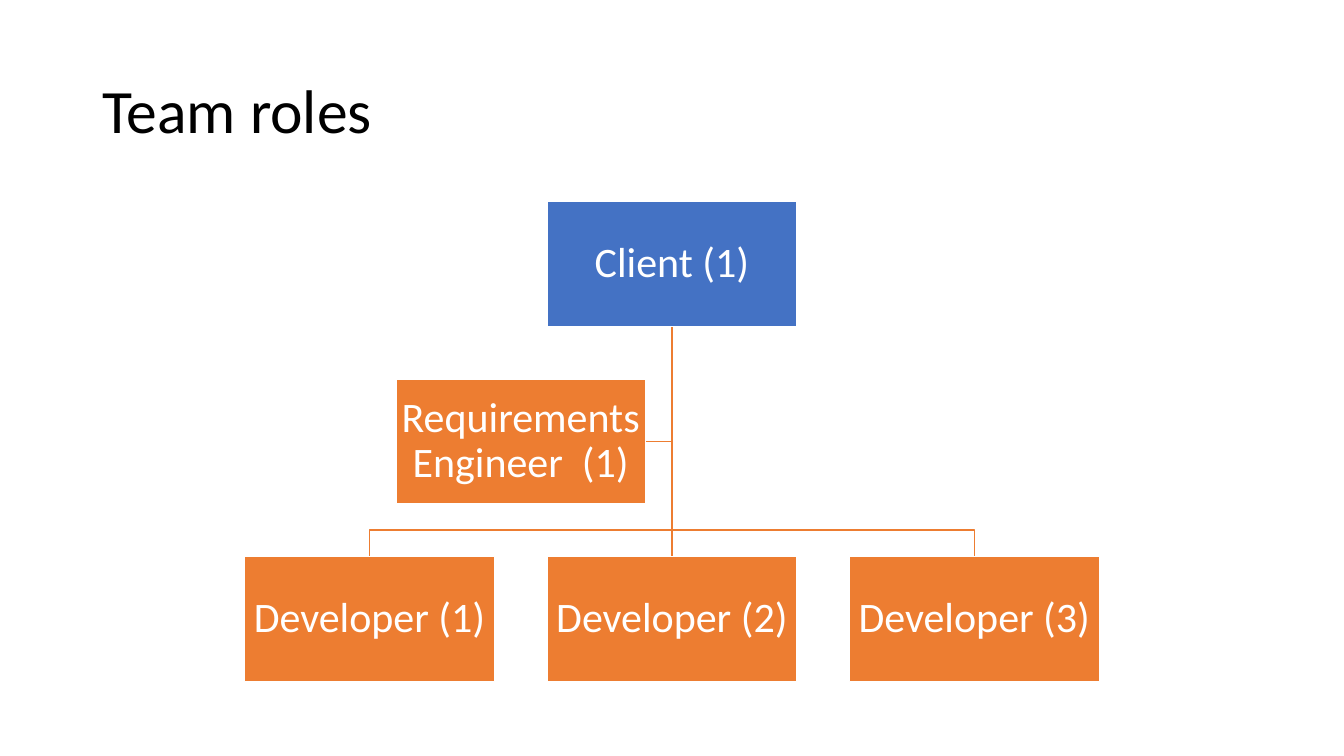
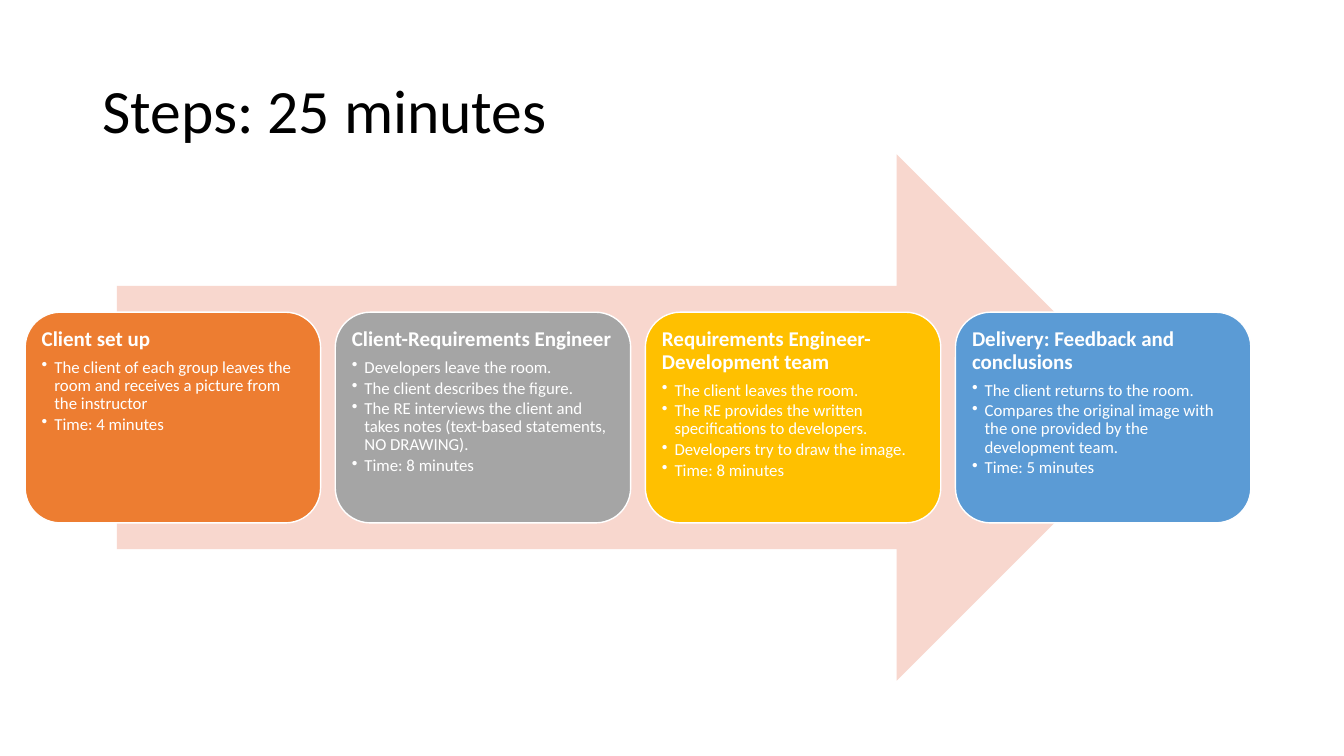
from lxml.etree import SubElement
from pptx import Presentation
from pptx.dml.color import RGBColor
from pptx.enum.shapes import MSO_CONNECTOR, MSO_SHAPE
from pptx.enum.text import MSO_ANCHOR, PP_ALIGN
from pptx.oxml.ns import qn
from pptx.util import Pt

COLORS = {
    "black": "000000", "white": "FFFFFF", "blue": "4472C4", "orange": "ED7D31",
    "gray": "A5A5A5", "gold": "FFC000", "sky": "5B9BD5", "blush": "F8D7CE",
}
rgb = {name: RGBColor.from_string(value) for name, value in COLORS.items()}


def write(tf, text, size=44, color="white", bold=False, align=PP_ALIGN.LEFT,
          anchor=MSO_ANCHOR.MIDDLE, inset=None, after=0, bullet=False, first=True):
    tf.word_wrap = True
    tf.vertical_anchor = anchor
    if inset is not None:
        tf.margin_left = tf.margin_right = tf.margin_top = tf.margin_bottom = Pt(inset)
    p = tf.paragraphs[0] if first else tf.add_paragraph()
    p.alignment = align
    p.line_spacing = 0.9
    p.space_before = Pt(0)
    p.space_after = Pt(after)
    if bullet:
        pPr = p._p.get_or_add_pPr()
        pPr.set("marL", str(Pt(9)))
        pPr.set("indent", str(-Pt(9)))
        SubElement(pPr, qn("a:buChar")).set("char", "•")
    r = p.add_run()
    r.text = text
    r.font.name = "Calibri"
    r.font.size = Pt(size)
    r.font.bold = bold
    r.font.color.rgb = rgb[color]


def add_box(s, kind, left, top, width, height, fill, outlined=True):
    sp = s.shapes.add_shape(kind, Pt(left), Pt(top), Pt(width), Pt(height))
    sp.shadow.inherit = False
    sp.fill.solid()
    sp.fill.fore_color.rgb = rgb[fill]
    if outlined:
        sp.line.color.rgb = rgb["white"]
        sp.line.width = Pt(1)
    else:
        sp.line.fill.background()
    return sp


prs = Presentation()
prs.slide_width, prs.slide_height = Pt(960), Pt(540)

slides = []
for title in ("Team roles", "Steps: 25 minutes"):
    s = prs.slides.add_slide(prs.slide_layouts[6])
    sp = s.shapes.add_textbox(Pt(66), Pt(28.75), Pt(828), Pt(104.4))
    write(sp.text_frame, title, color="black")
    slides.append(s)
roles, steps = slides

box_w, box_h = 178.5, 89.25
center, pitch = 480, 216
client_top, engineer_top, developer_top = 144, 270.75, 397.5
client_bottom = client_top + box_h
gap = 18.75
branch_y = developer_top - gap
engineer_center = center - box_w / 2 - gap
engineer_y = engineer_top + box_h / 2

elbows = [[(center, engineer_y), (center - gap, engineer_y)]]
for x in (center + pitch, center - pitch):
    elbows.append([(center, branch_y), (x, branch_y), (x, developer_top)])
for points in elbows:
    builder = roles.shapes.build_freeform(Pt(center), Pt(client_bottom))
    builder.add_line_segments([(Pt(x), Pt(y)) for x, y in points], close=False)
    sp = builder.convert_to_shape()
    sp.shadow.inherit = False
    sp.fill.background()
    sp.line.color.rgb = rgb["orange"]
    sp.line.width = Pt(1)

trunk = roles.shapes.add_connector(
    MSO_CONNECTOR.STRAIGHT, Pt(center), Pt(client_bottom), Pt(center), Pt(developer_top))
trunk.line.color.rgb = rgb["orange"]
trunk.line.width = Pt(1)
SubElement(trunk._element.spPr, qn("a:effectLst"))

members = [("Client (1)", center, client_top, "blue")]
for i in range(3):
    members.append((f"Developer ({i + 1})", center + (i - 1) * pitch, developer_top, "orange"))
members.append(("Requirements Engineer  (1)", engineer_center, engineer_top, "orange"))
for text, x, top, fill in members:
    sp = add_box(roles, MSO_SHAPE.RECTANGLE, x - box_w / 2, top, box_w, box_h, fill)
    write(sp.text_frame, text, size=30, align=PP_ALIGN.CENTER, inset=1.5)

add_box(steps, MSO_SHAPE.RIGHT_ARROW, 83.5, 110.25, 745, 376, "blush", outlined=False)

cards = [
    ("Client set up", "orange", [
        "The client of each group leaves the room and receives a picture from the instructor",
        "Time: 4 minutes"]),
    ("Client-Requirements Engineer", "gray", [
        "Developers leave the room.",
        "The client describes the figure.",
        "The RE interviews the client and takes notes (text-based statements, NO DRAWING).",
        "Time: 8 minutes"]),
    ("Requirements Engineer-Development team", "gold", [
        "The client leaves the room.",
        "The RE provides the written specifications to developers.",
        "Developers try to draw the image.",
        "Time: 8 minutes"]),
    ("Delivery: Feedback and conclusions", "sky", [
        "The client returns to the room.",
        "Compares the original image with the one provided by the development team.",
        "Time: 5 minutes"]),
]
for i, (heading, fill, items) in enumerate(cards):
    sp = add_box(steps, MSO_SHAPE.ROUNDED_RECTANGLE, 18 + i * 221.5, 223, 211, 150.5, fill)
    tf = sp.text_frame
    write(tf, heading, size=15, bold=True, anchor=MSO_ANCHOR.TOP, inset=4.5, after=5.25)
    for item in items:
        write(tf, item, size=12, anchor=MSO_ANCHOR.TOP, after=1.8, bullet=True, first=False)

prs.save("out.pptx")
